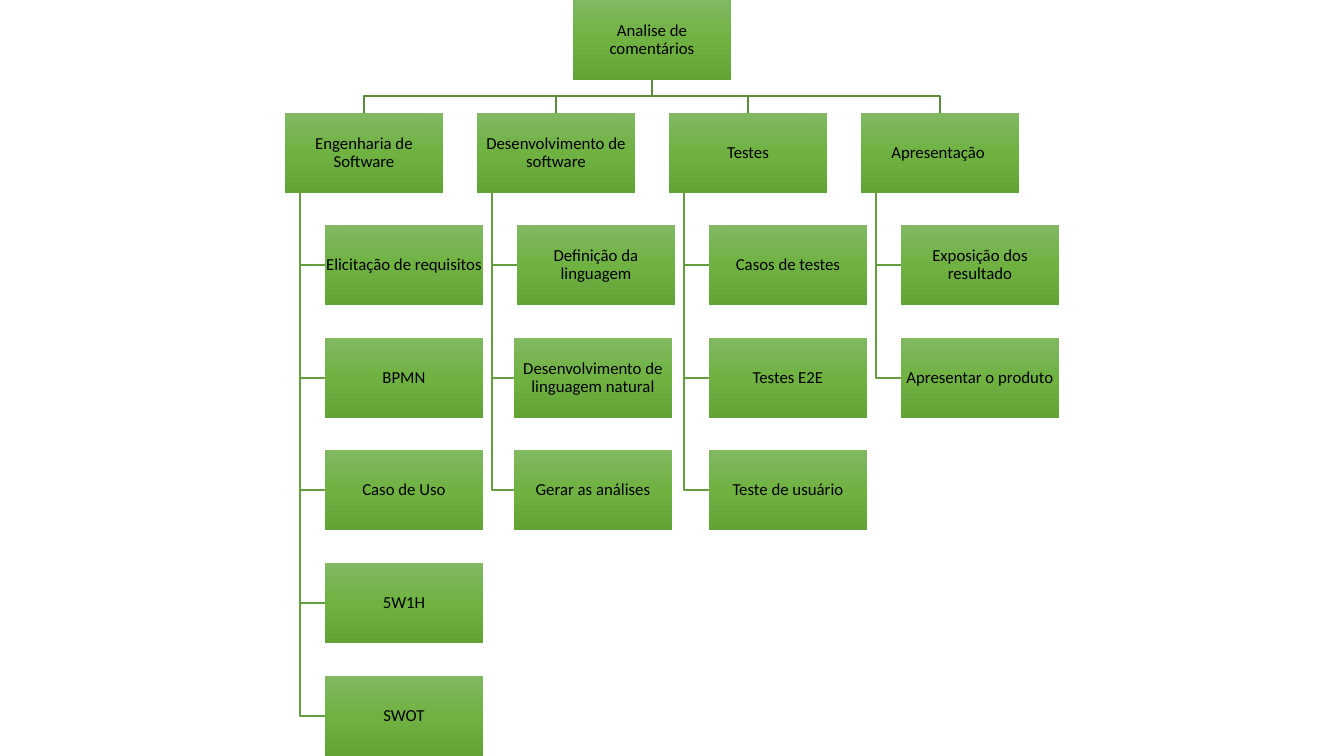
from copy import deepcopy

from pptx import Presentation
from pptx.dml.color import RGBColor
from pptx.enum.shapes import MSO_SHAPE
from pptx.enum.text import MSO_ANCHOR, PP_ALIGN
from pptx.util import Pt

RECTANGLE = MSO_SHAPE.RECTANGLE
MIDDLE = MSO_ANCHOR.MIDDLE
CENTER = PP_ALIGN.CENTER

SCALE = 914400 / 100.8
SLIDE_W, SLIDE_H = 1344, 756
BOX_W, BOX_H = 158, 80
ROOT_X = 573
COLUMN_X, COLUMN_STEP = 285, 192
ROW_Y, ROW_STEP = 113, 112.6
TRUNK_OFFSET = 15
BUS_Y = 96

BLACK = RGBColor(0x00, 0x00, 0x00)
BRANCH_GREEN = RGBColor(0x5A, 0x8B, 0x39)
TASK_GREEN = RGBColor(0x66, 0x9D, 0x40)
GRADIENT = [
    (0, RGBColor(0x81, 0xB8, 0x61)),
    (0.5, RGBColor(0x6F, 0xB2, 0x42)),
    (1, RGBColor(0x62, 0xA3, 0x36)),
]

ROOT = "Analise de comentários"
BRANCHES = [
    ("Engenharia de Software", [
        ("Elicitação de requisitos", 40), ("BPMN", 40), ("Caso de Uso", 40),
        ("5W1H", 40), ("SWOT", 40)]),
    ("Desenvolvimento de software", [
        ("Definição da linguagem", 40),
        ("Desenvolvimento de linguagem natural", 37),
        ("Gerar as análises", 37)]),
    ("Testes", [
        ("Casos de testes", 40), ("Testes E2E", 40), ("Teste de usuário", 40)]),
    ("Apresentação ", [
        ("Exposição dos resultado", 40), ("Apresentar o produto", 40)]),
]


def px(n):
    return int(n * SCALE)


def row_top(row):
    return int(ROW_Y + row * ROW_STEP)


def fill_gradient(sp):
    sp.fill.gradient()
    sp.fill.gradient_angle = 270
    stops = sp._element.spPr.find(".//{*}gsLst")
    stops.insert(1, deepcopy(stops[0]))
    for stop, (position, color) in zip(sp.fill.gradient_stops, GRADIENT):
        stop.position = position
        stop.color.rgb = color


def add_box(s, text, x, y):
    sp = s.shapes.add_shape(RECTANGLE, px(x), px(y), px(BOX_W), px(BOX_H))
    sp.shadow.inherit = False
    sp.line.fill.background()
    fill_gradient(sp)
    tf = sp.text_frame
    tf.text = text
    tf.word_wrap = True
    tf.vertical_anchor = MIDDLE
    tf.margin_left = tf.margin_right = px(1)
    tf.margin_top = tf.margin_bottom = px(1)
    p = tf.paragraphs[0]
    p.alignment = CENTER
    p.line_spacing = 0.9
    r = p.runs[0]
    r.font.name = "Calibri"
    r.font.size = Pt(12)
    r.font.color.rgb = BLACK


def add_elbow(s, points, color):
    builder = s.shapes.build_freeform(*points[0], scale=SCALE)
    builder.add_line_segments(points[1:], close=False)
    sp = builder.convert_to_shape()
    sp.shadow.inherit = False
    sp.fill.background()
    sp.line.color.rgb = color
    sp.line.width = Pt(1)


def add_branch(s, x, title, tasks):
    root_center, center = ROOT_X + BOX_W // 2, x + BOX_W // 2
    add_elbow(s, [(root_center, BOX_H), (root_center, BUS_Y),
                  (center, BUS_Y), (center, ROW_Y)], BRANCH_GREEN)
    trunk = x + TRUNK_OFFSET
    for row, (task, offset) in enumerate(tasks, 1):
        top = row_top(row)
        middle = top + BOX_H // 2
        add_elbow(s, [(trunk, ROW_Y + BOX_H), (trunk, middle),
                      (x + offset, middle)], TASK_GREEN)
        add_box(s, task, x + offset, top)
    add_box(s, title, x, ROW_Y)


def main():
    prs = Presentation()
    prs.slide_width, prs.slide_height = px(SLIDE_W), px(SLIDE_H)
    s = prs.slides.add_slide(prs.slide_layouts[6])
    for i, (title, tasks) in enumerate(BRANCHES):
        add_branch(s, COLUMN_X + i * COLUMN_STEP, title, tasks)
    add_box(s, ROOT, ROOT_X, 0)
    prs.save("out.pptx")


main()
